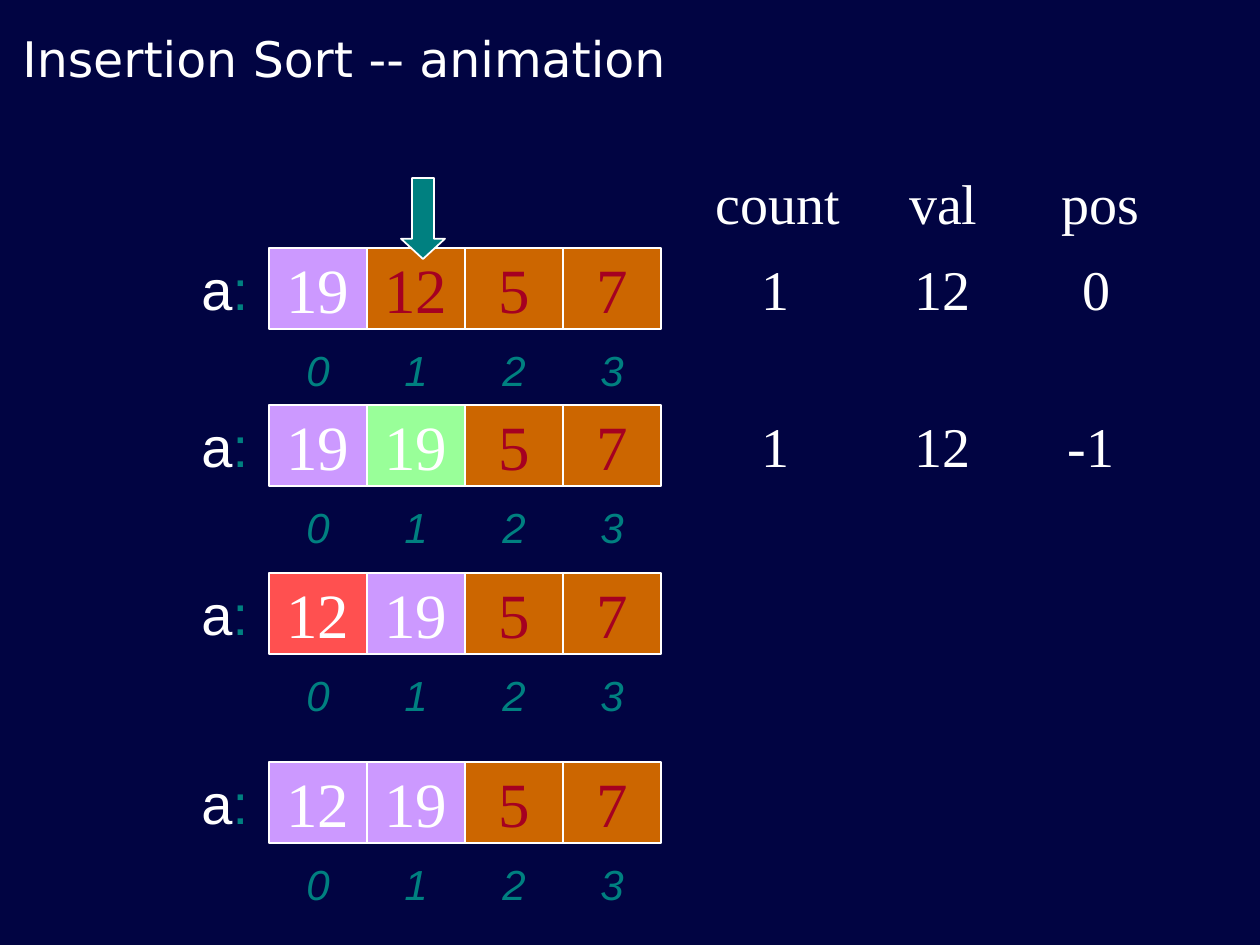
from lxml.etree import SubElement
from pptx import Presentation
from pptx.dml.color import RGBColor
from pptx.enum.shapes import MSO_SHAPE
from pptx.enum.text import MSO_ANCHOR, MSO_AUTO_SIZE, PP_ALIGN
from pptx.oxml.ns import qn
from pptx.util import Pt

PX = 914400 / 126
CELL_LEFT, CELL_WIDTH, CELL_HEIGHT = 269, 98, 81
SERIF, SANS, TITLE_FONT = "Times New Roman", "Arial", "DejaVu Sans"
COLORS = {
    "navy": "010442",
    "white": "FFFFFF",
    "teal": "008080",
    "red": "A50021",
    "unsorted": "CC6600",
    "sorted": "CC99FF",
    "shifted": "99FF99",
    "inserted": "FF5050",
}
ARRAYS = [
    (248, [(19, "sorted"), (12, "unsorted"), (5, "unsorted"), (7, "unsorted")]),
    (405, [(19, "sorted"), (19, "shifted"), (5, "unsorted"), (7, "unsorted")]),
    (573, [(12, "inserted"), (19, "sorted"), (5, "unsorted"), (7, "unsorted")]),
    (762, [(12, "sorted"), (19, "sorted"), (5, "unsorted"), (7, "unsorted")]),
]
VARIABLES = [
    (703, 162, 483, ["count", "val", "pos"], [61, 228, 385]),
    (693, 248, 503, ["1", "12", "0"], [70, 237, 391]),
    (693, 405, 503, ["1", "12", "-1"], [70, 237, 386]),
]


def px(*lengths):
    """Turn pixel lengths into EMU."""
    return [round(length * PX) for length in lengths]


def rgb(name):
    """Look up a named colour."""
    return RGBColor.from_string(COLORS[name])


def set_font(font, name, size, color, italic=False):
    """Set the face, size and colour of a font."""
    font.name, font.size, font.italic = name, Pt(size), italic
    font.color.rgb = rgb(color)


def add_text(page, left, top, width, height, text, font, size, color):
    """Add a wrapping text box with one paragraph."""
    box = page.shapes.add_textbox(*px(left, top, width, height))
    box.text_frame.word_wrap = True
    paragraph = box.text_frame.paragraphs[0]
    paragraph.add_run().text = text
    set_font(paragraph.font, font, size, color)
    return box


def add_shape(page, kind, left, top, width, height, fill, line_width):
    """Add a filled preset shape with a white outline."""
    shape = page.shapes.add_shape(kind, *px(left, top, width, height))
    shape.shadow.inherit = False
    shape.fill.solid()
    shape.fill.fore_color.rgb = rgb(fill)
    shape.line.color.rgb = rgb("white")
    shape.line.width = Pt(line_width)
    return shape


def center_text(box):
    """Centre the text of a box both ways without wrapping."""
    frame = box.text_frame
    frame.word_wrap = False
    frame.vertical_anchor = MSO_ANCHOR.MIDDLE
    frame.paragraphs[0].alignment = PP_ALIGN.CENTER
    return frame.paragraphs[0]


def add_array(page, top, cells):
    """Add one labelled array with an index under each cell."""
    label = add_text(page, 189, top, 76, CELL_HEIGHT, "a", SANS, 32, "white")
    label.text_frame.auto_size = MSO_AUTO_SIZE.SHAPE_TO_FIT_TEXT
    colon = label.text_frame.paragraphs[0].add_run()
    colon.text = ":"
    colon.font.color.rgb = rgb("teal")
    for index, (value, state) in enumerate(cells):
        left = CELL_LEFT + index * CELL_WIDTH
        cell = add_shape(page, MSO_SHAPE.RECTANGLE, left, top,
                         CELL_WIDTH, CELL_HEIGHT, state, 0.75)
        paragraph = center_text(cell)
        paragraph.add_run().text = str(value)
        set_font(paragraph.font, SERIF, 36, "red" if state == "unsorted" else "white")
        number = add_text(page, left, top + CELL_HEIGHT, CELL_WIDTH, CELL_HEIGHT,
                          str(index), SANS, 24, "teal")
        center_text(number).font.italic = True


def add_variables(page, left, top, width, words, stops):
    """Add a line of words centred on tab stops."""
    box = page.shapes.add_textbox(*px(left, top, width, CELL_HEIGHT))
    box.text_frame.word_wrap = True
    box.text_frame.auto_size = MSO_AUTO_SIZE.SHAPE_TO_FIT_TEXT
    paragraph = box.text_frame.paragraphs[0]
    tabs = SubElement(paragraph._p.get_or_add_pPr(), qn("a:tabLst"))
    for position in px(*stops):
        SubElement(tabs, qn("a:tab"), pos=str(position), algn="ctr")
    paragraph.add_run().text = "".join("\t" + word for word in words)
    set_font(paragraph.font, SERIF, 32, "white")


def main():
    """Build the insertion sort slide."""
    deck = Presentation()
    deck.slide_width, deck.slide_height = px(1260, 945)
    page = deck.slides.add_slide(deck.slide_layouts[6])
    page.background.fill.solid()
    page.background.fill.fore_color.rgb = rgb("navy")
    title = add_text(page, 10, 31, 1081, 63, "Insertion Sort -- animation",
                     TITLE_FONT, 28, "white")
    title.text_frame.vertical_anchor = MSO_ANCHOR.BOTTOM
    for top, cells in ARRAYS:
        add_array(page, top, cells)
    for variables in VARIABLES:
        add_variables(page, *variables)
    arrow = add_shape(page, MSO_SHAPE.DOWN_ARROW, 401, 178, 44, 81, "teal", 1)
    arrow.adjustments[1] = 0.46
    deck.save("out.pptx")


if __name__ == "__main__":
    main()
